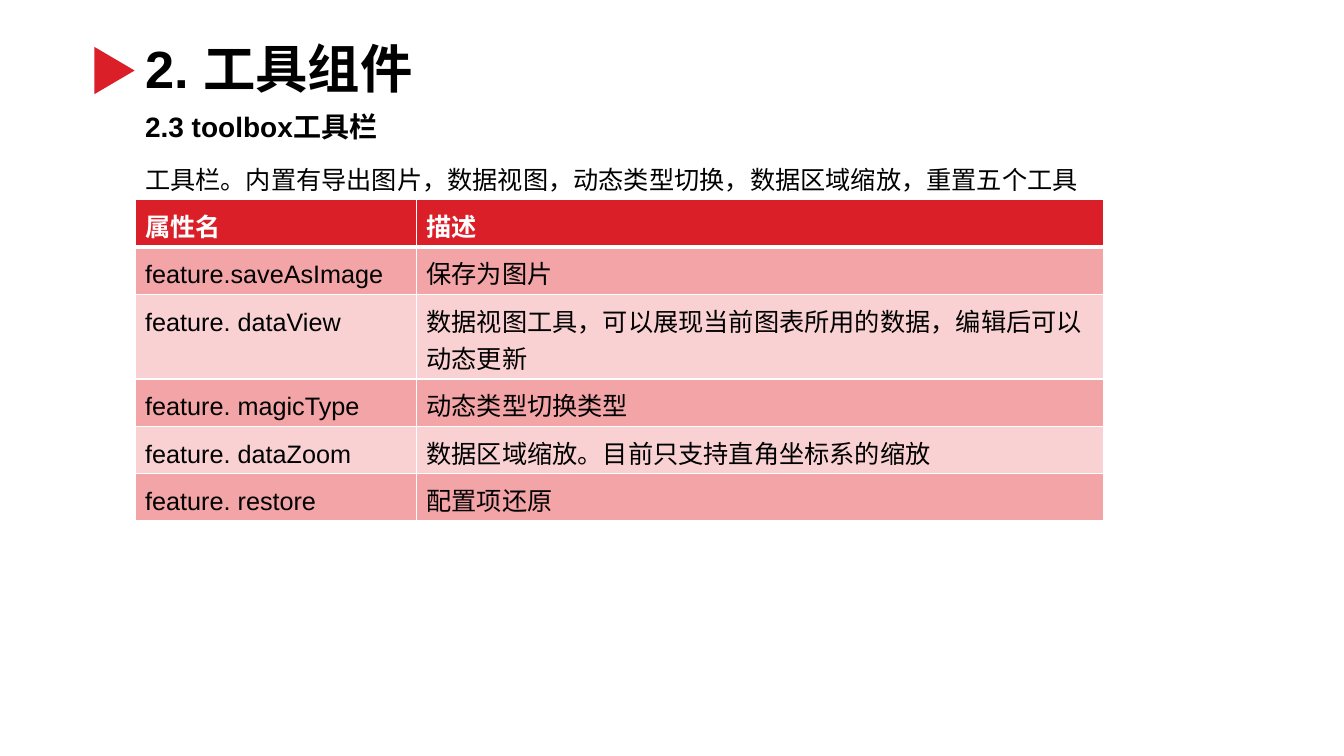
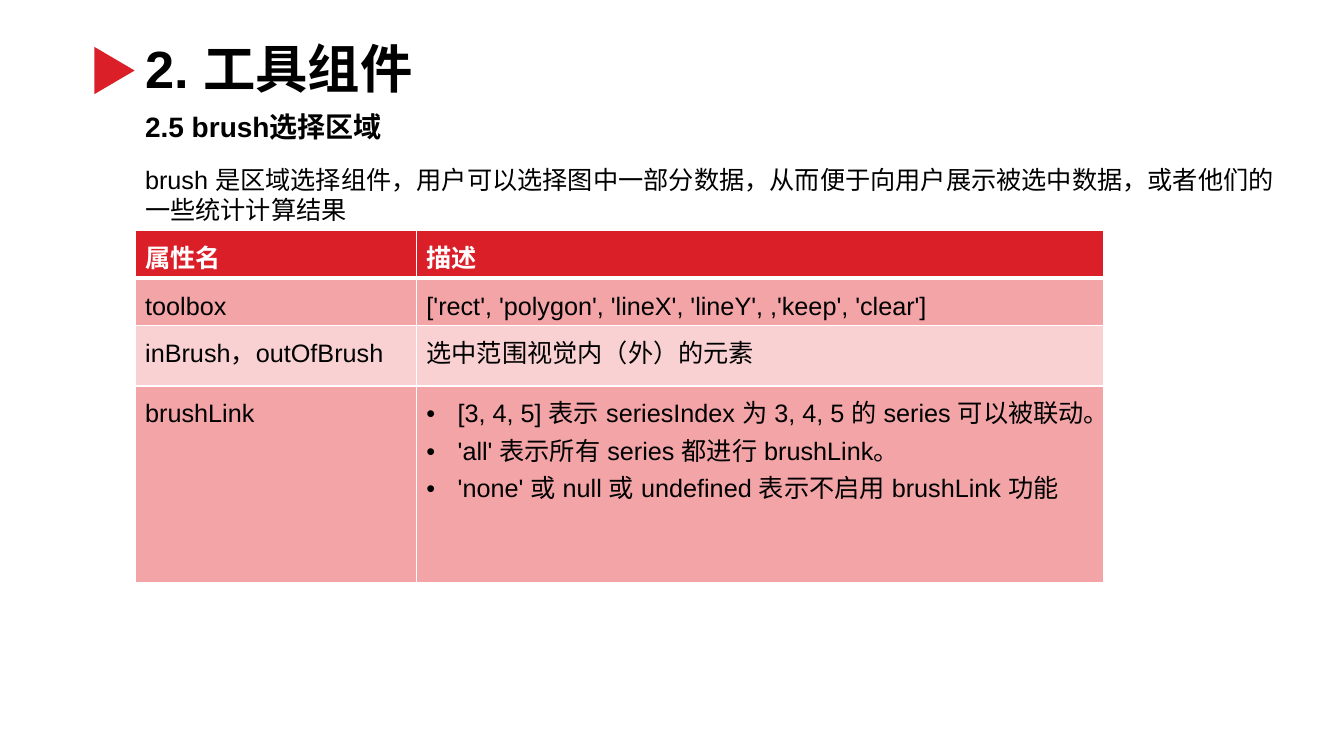
import pptx
import pptx.util
import pptx.dml.color
import pptx.enum.shapes
import pptx.enum.text
import pptx.oxml.ns
from lxml import etree

Inches = pptx.util.Inches
Pt = pptx.util.Pt
qn = pptx.oxml.ns.qn

COLORS = {
    "red": "DA1F28",
    "band_dark": "F2A4A7",
    "band_light": "F9D1D3",
    "white": "FFFFFF",
    "black": "000000",
}


def rgb(name):
    return pptx.dml.color.RGBColor.from_string(COLORS[name])


class Deck:
    """Holds the shared style and the current slide."""

    FONT = "Arial"
    LEFT = 1.34
    BODY_SIZE = 18
    LINE_PITCH = 26.6
    COL_WIDTHS = (2.79, 6.82)
    BULLET_INDENT = 0.31

    def __init__(self):
        self.prs = pptx.Presentation()
        self.prs.slide_width = Inches(13.33)
        self.prs.slide_height = Inches(7.5)
        self.s = None

    def style(self, p, size, color="black", bold=False):
        for r in p.runs:
            r.font.name = self.FONT
            r.font.size = Pt(size)
            r.font.bold = bold
            r.font.color.rgb = rgb(color)
            ea = etree.SubElement(r.font._element, qn("a:ea"))
            ea.set("typeface", self.FONT)

    def text(self, text, top, width, height, size, bold=False):
        sp = self.s.shapes.add_textbox(
            Inches(self.LEFT), Inches(top), Inches(width), Inches(height))
        tf = sp.text_frame
        tf.word_wrap = True
        tf.auto_size = pptx.enum.text.MSO_AUTO_SIZE.SHAPE_TO_FIT_TEXT
        tf.text = text
        self.style(tf.paragraphs[0], size, bold=bold)

    def marker(self):
        sp = self.s.shapes.add_shape(
            pptx.enum.shapes.MSO_SHAPE.ISOSCELES_TRIANGLE,
            Inches(0.9), Inches(0.5), Inches(0.47), Inches(0.4))
        sp.rotation = 90
        sp.shadow.inherit = False
        sp.fill.solid()
        sp.fill.fore_color.rgb = rgb("red")
        sp.line.fill.background()

    def slide(self, title, subtitle, intro, intro_height):
        self.s = self.prs.slides.add_slide(self.prs.slide_layouts[6])
        self.text(title, 0.31, 5.33, 0.73, 37.4, bold=True)
        self.marker()
        self.text(subtitle, 1.04, 4.44, 0.44, 20, bold=True)
        self.text(intro, 1.58, 11.55, intro_height, self.BODY_SIZE)

    def borders(self, cell, row):
        # The rule under the header row is thicker
        widths = {"L": 1, "R": 1, "T": 3 if row == 1 else 1,
                  "B": 3 if row == 0 else 1}
        tcPr = cell._tc.get_or_add_tcPr()
        for side, width in widths.items():
            ln = etree.SubElement(tcPr, qn("a:ln" + side), w=str(Pt(width)))
            fill = etree.SubElement(ln, qn("a:solidFill"))
            etree.SubElement(fill, qn("a:srgbClr"), val=COLORS["white"])

    def bullet(self, p):
        pPr = p._p.get_or_add_pPr()
        indent = Inches(self.BULLET_INDENT)
        pPr.set("marL", str(indent))
        pPr.set("indent", str(-indent))
        font = etree.SubElement(pPr, qn("a:buFont"))
        font.set("typeface", self.FONT)
        etree.SubElement(pPr, qn("a:buChar")).set("char", "•")

    def cell(self, cell, content, row):
        header = row == 0
        self.borders(cell, row)
        cell.fill.solid()
        band = "band_dark" if row % 2 else "band_light"
        cell.fill.fore_color.rgb = rgb("red" if header else band)
        # A list of strings becomes a bulleted cell
        bulleted = isinstance(content, list)
        cell.text_frame.text = "\n".join(content) if bulleted else content
        for p in cell.text_frame.paragraphs:
            p.line_spacing = Pt(self.LINE_PITCH)
            if bulleted:
                self.bullet(p)
            self.style(p, self.BODY_SIZE, "white" if header else "black", header)

    def table(self, top, rows, heights):
        rows = [("属性名", "描述")] + rows
        frame = self.s.shapes.add_table(
            len(rows), len(self.COL_WIDTHS), Inches(self.LEFT), Inches(top),
            Inches(sum(self.COL_WIDTHS)), Inches(sum(heights)))
        tbl = frame.table
        tbl.horz_banding = False
        for col, width in zip(tbl.columns, self.COL_WIDTHS):
            col.width = Inches(width)
        for i, (contents, height) in enumerate(zip(rows, heights)):
            tbl.rows[i].height = Inches(height)
            for j, content in enumerate(contents):
                self.cell(tbl.cell(i, j), content, i)


def main():
    deck = Deck()
    title = "2. 工具组件"

    # Toolbox
    deck.slide(title, "2.3 toolbox工具栏",
               "工具栏。内置有导出图片，数据视图，动态类型切换，数据区域缩放，重置五个工具",
               0.4)
    deck.table(1.98, [
        ("feature.saveAsImage", "保存为图片"),
        ("feature. dataView",
         "数据视图工具，可以展现当前图表所用的数据，编辑后可以动态更新"),
        ("feature. magicType", "动态类型切换类型"),
        ("feature. dataZoom", "数据区域缩放。目前只支持直角坐标系的缩放"),
        ("feature. restore", "配置项还原"),
    ], [0.47, 0.47, 0.84, 0.47, 0.47, 0.47])

    # Brush
    deck.slide(title, "2.5 brush选择区域",
               "brush 是区域选择组件，用户可以选择图中一部分数据，"
               "从而便于向用户展示被选中数据，或者他们的一些统计计算结果",
               0.71)
    deck.table(2.29, [
        ("toolbox", "['rect', 'polygon', 'lineX', 'lineY', ,'keep', 'clear']"),
        ("inBrush，outOfBrush", "选中范围视觉内（外）的元素"),
        ("brushLink", [
            "[3, 4, 5] 表示 seriesIndex 为 3, 4, 5 的 series 可以被联动。",
            "'all' 表示所有 series 都进行 brushLink。",
            "'none' 或 null 或 undefined 表示不启用 brushLink 功能",
        ]),
    ], [0.47, 0.47, 0.6, 1.95])

    deck.prs.save("out.pptx")


if __name__ == "__main__":
    main()
